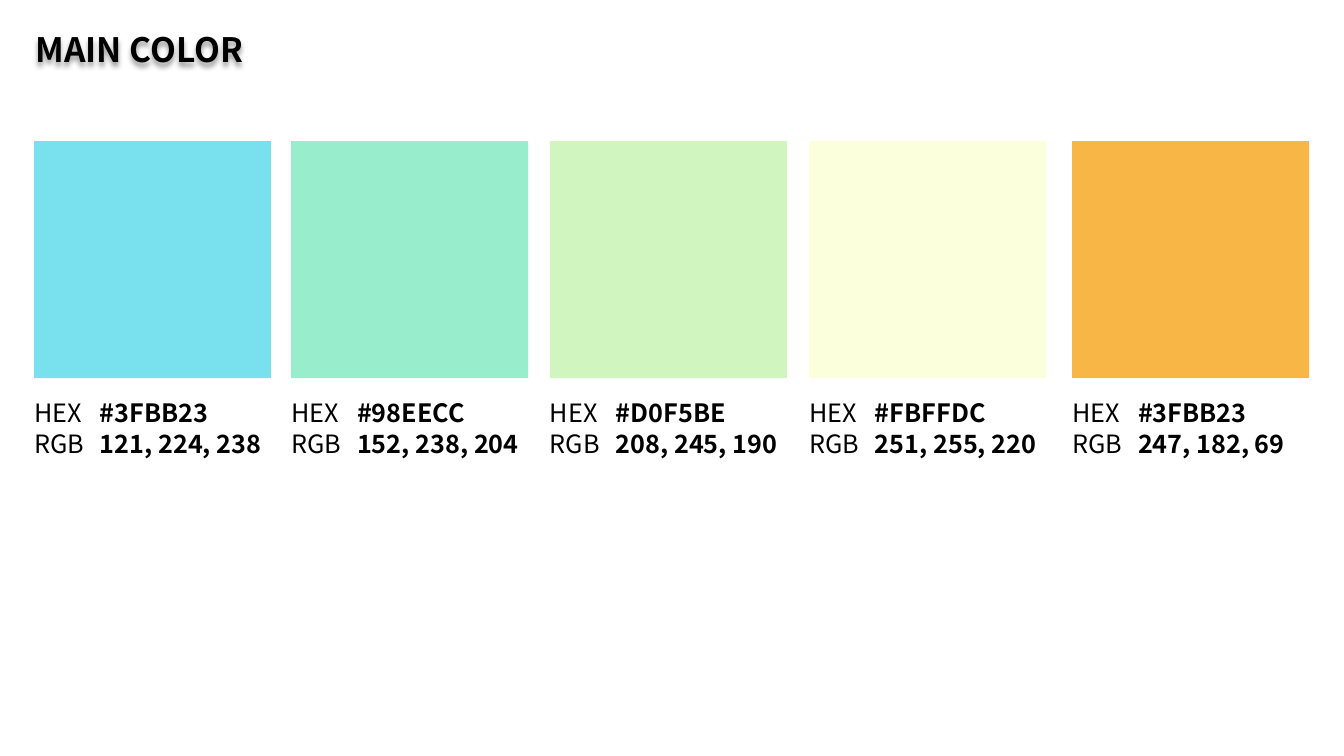
import pptx
import pptx.dml.color
import pptx.enum.shapes
import pptx.enum.text
import pptx.oxml
import pptx.oxml.ns
import pptx.util
from pptx.util import Cm

FONT = "Noto Sans CJK KR"
SQUARE_SIZE = Cm(5.97)
TEXT_INSET = Cm(0.25)
SWATCHES = [
    # left in cm, fill, hex label, RGB label
    (0.86, "79E1EE", "#3FBB23", "121, 224, 238"),
    (7.34, "98EDCC", "#98EECC", "152, 238, 204"),
    (13.86, "D0F5BF", "#D0F5BE", "208, 245, 190"),
    (20.39, "FBFFDC", "#FBFFDC", "251, 255, 220"),
    (27.02, "F7B645", "#3FBB23", "247, 182, 69"),
]


def color(hex_value):
    return pptx.dml.color.RGBColor.from_string(hex_value)


def style_font(font, size, bold):
    font.name = FONT
    font.size = pptx.util.Pt(size)
    font.bold = bold
    font.color.rgb = color("000000")


deck = pptx.Presentation()
deck.slide_width = Cm(33.87)
deck.slide_height = Cm(19.05)
page = deck.slides.add_slide(deck.slide_layouts[5])

# Title with a soft shadow below the letters
title = page.shapes.title
title.left, title.top, title.width, title.height = Cm(0.64), Cm(0.41), Cm(6.45), Cm(1.65)
title.text_frame.text = "MAIN COLOR"
title.text_frame.auto_size = pptx.enum.text.MSO_AUTO_SIZE.NONE
title.text_frame.vertical_anchor = pptx.enum.text.MSO_ANCHOR.MIDDLE
title_para = title.text_frame.paragraphs[0]
title_para.alignment = pptx.enum.text.PP_ALIGN.LEFT
style_font(title_para.runs[0].font, 24, True)
title.fill.background()
title._element.spPr.append(pptx.oxml.parse_xml(
    f'<a:effectLst {pptx.oxml.ns.nsdecls("a")}>'
    '<a:outerShdw blurRad="50800" dist="38100" dir="5400000" algn="t" rotWithShape="0">'
    '<a:srgbClr val="000000"><a:alpha val="40000"/></a:srgbClr>'
    '</a:outerShdw></a:effectLst>'))

# Colour squares, each with its values below
for left, fill, hex_label, rgb_label in SWATCHES:
    square = page.shapes.add_shape(
        pptx.enum.shapes.MSO_SHAPE.RECTANGLE, Cm(left), Cm(3.56), SQUARE_SIZE, SQUARE_SIZE)
    square.shadow.inherit = False
    square.fill.solid()
    square.fill.fore_color.rgb = color(fill)
    square.line.fill.background()

    box = page.shapes.add_textbox(Cm(left) - TEXT_INSET, Cm(9.88), Cm(6.6), Cm(1.8))
    frame = box.text_frame
    frame.word_wrap = True
    frame.text = "\n".join(["HEX\t", "RGB\t"])
    for para, value in zip(frame.paragraphs, [hex_label, rgb_label]):
        para.line_spacing = pptx.util.Pt(22)
        para._p.get_or_add_pPr().append(pptx.oxml.parse_xml(
            f'<a:tabLst {pptx.oxml.ns.nsdecls("a")}>'
            f'<a:tab pos="{Cm(1.66)}" algn="l"/></a:tabLst>'))
        style_font(para.runs[0].font, 18, False)
        span = para.add_run()
        span.text = value
        style_font(span.font, 18, True)

deck.save("out.pptx")
